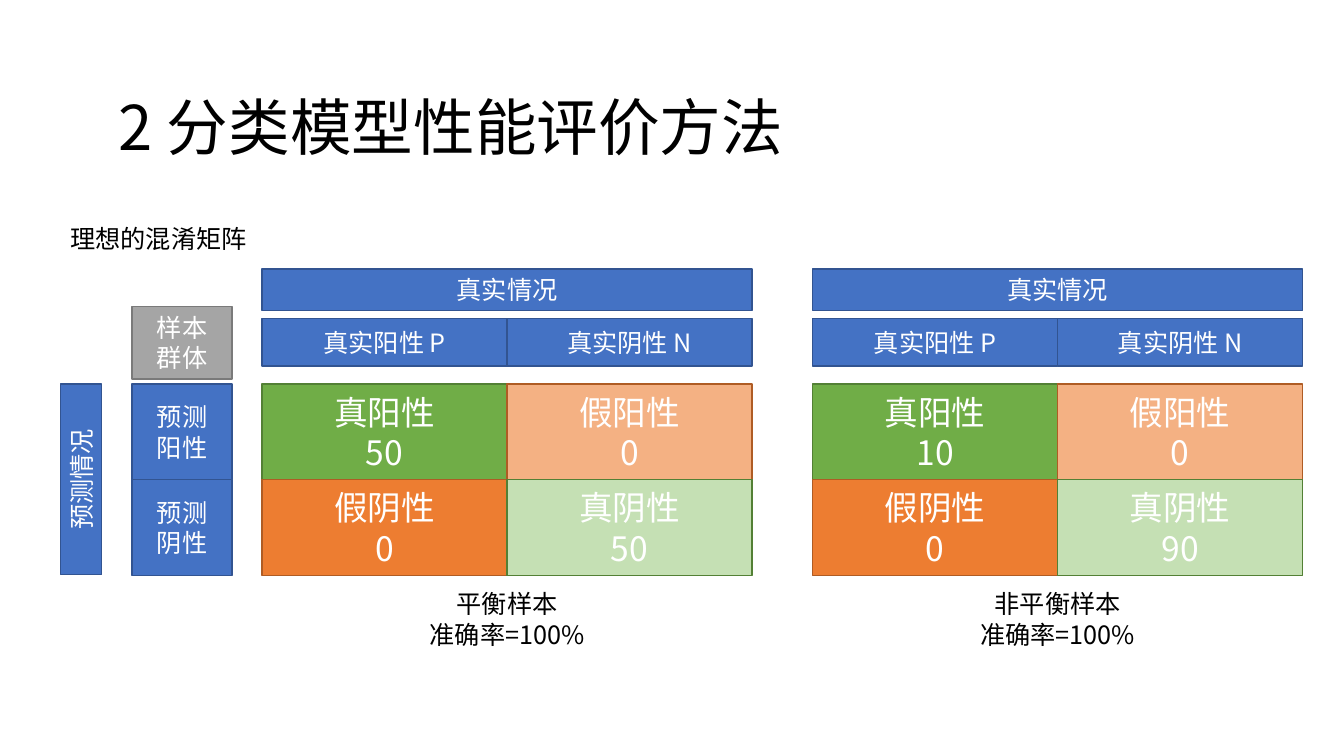
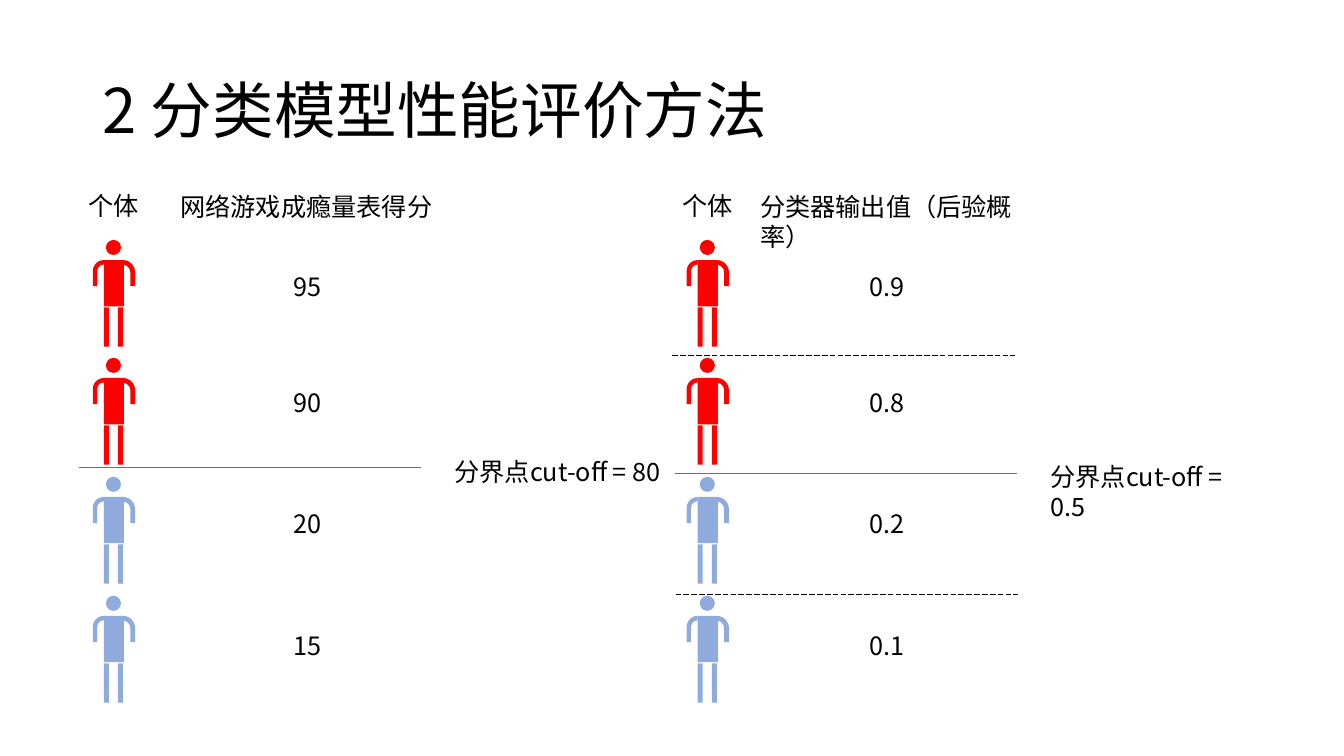
from lxml.etree import SubElement
from pptx import Presentation
from pptx.dml.color import RGBColor
from pptx.enum.dml import MSO_LINE
from pptx.enum.shapes import MSO_CONNECTOR, MSO_SHAPE
from pptx.enum.text import MSO_ANCHOR, MSO_AUTO_SIZE, PP_ALIGN
from pptx.oxml.ns import qn
from pptx.util import Pt

PX = 9144  # 100 px to the inch
FONT = "Noto Sans CJK SC"
BLACK = RGBColor(0x00, 0x00, 0x00)
WHITE = RGBColor(0xFF, 0xFF, 0xFF)
BLUE = RGBColor(0x44, 0x72, 0xC4)
DARK_BLUE = RGBColor(0x32, 0x54, 0x91)
LIGHT_BLUE = RGBColor(0x8F, 0xAA, 0xDC)
GRAY = RGBColor(0xA5, 0xA5, 0xA5)
DARK_GRAY = RGBColor(0x7A, 0x7A, 0x7A)
GREEN = RGBColor(0x70, 0xAD, 0x47)
LIGHT_GREEN = RGBColor(0xC5, 0xE0, 0xB4)
DARK_GREEN = RGBColor(0x53, 0x80, 0x35)
ORANGE = RGBColor(0xED, 0x7D, 0x31)
LIGHT_ORANGE = RGBColor(0xF4, 0xB1, 0x83)
DARK_ORANGE = RGBColor(0xAF, 0x5C, 0x24)
RED = RGBColor(0xFF, 0x00, 0x00)


def write(shape, text, size, color, align):
    frame = shape.text_frame
    frame.text = text
    frame.word_wrap = True
    for paragraph in frame.paragraphs:
        paragraph.alignment = align
        for run in paragraph.runs:
            run.font.name = FONT
            run.font.size = Pt(size)
            run.font.color.rgb = color
            SubElement(run._r.get_or_add_rPr(), qn("a:ea"), typeface=FONT)


def add_label(slide, left, top, width, height, text, fill=None, outline=None,
              size=18, align=PP_ALIGN.CENTER):
    """A filled box with white text, or plain black text without a fill."""
    area = [n * PX for n in (left, top, width, height)]
    if fill is None:
        label = slide.shapes.add_textbox(*area)
    else:
        label = slide.shapes.add_shape(MSO_SHAPE.RECTANGLE, *area)
        label.shadow.inherit = False
        label.fill.solid()
        label.fill.fore_color.rgb = fill
        label.line.color.rgb = outline
        label.line.width = Pt(1)
        label.text_frame.vertical_anchor = MSO_ANCHOR.MIDDLE
    write(label, text, size, BLACK if fill is None else WHITE, align)
    return label


prs = Presentation()
prs.slide_width, prs.slide_height = 1333 * PX, 750 * PX

# Both slides with their shared title
slides = []
for title_left, title_top in [(108, 57), (92, 40)]:
    slide = prs.slides.add_slide(prs.slide_layouts[5])
    title = slide.shapes.title
    title.left, title.top = title_left * PX, title_top * PX
    title.width, title.height = 1150 * PX, 145 * PX
    write(title, "2 分类模型性能评价方法", 44, BLACK, PP_ALIGN.LEFT)
    title.text_frame.auto_size = MSO_AUTO_SIZE.NONE
    title.text_frame.vertical_anchor = MSO_ANCHOR.MIDDLE
    title.text_frame.paragraphs[0].line_spacing = 0.9
    slides.append(slide)
matrix_slide, cutoff_slide = slides

# Slide 1: row headings of the confusion matrices
CELL_W, CELL_H, GRID_TOP = 243, 95, 381
add_label(matrix_slide, 60, 217, 746, 40, "理想的混淆矩阵", align=PP_ALIGN.LEFT)
predicted = add_label(matrix_slide, -14, 455, 189, 41, "预测情况", BLUE, DARK_BLUE)
predicted.rotation = 270
add_label(matrix_slide, 131, 304, 99, 72, "样本\n群体", GRAY, DARK_GRAY)
for row, outcome in enumerate(["阳性", "阴性"]):
    add_label(matrix_slide, 131, GRID_TOP + row * CELL_H, 99, CELL_H,
              f"预测\n{outcome}", BLUE, DARK_BLUE)

# Slide 1: the two matrices, cells row by row
CELLS = [("真阳性", GREEN, DARK_GREEN), ("假阳性", LIGHT_ORANGE, DARK_ORANGE),
         ("假阴性", ORANGE, DARK_ORANGE), ("真阴性", LIGHT_GREEN, DARK_GREEN)]
for left, sample, counts in [(260, "平衡样本", (50, 0, 0, 50)),
                             (806, "非平衡样本", (10, 0, 0, 90))]:
    add_label(matrix_slide, left, 267, 2 * CELL_W, 41, "真实情况", BLUE, DARK_BLUE)
    for col, actual in enumerate(["真实阳性 P", "真实阴性 N"]):
        add_label(matrix_slide, left + col * CELL_W, 316, CELL_W, 47, actual,
                  BLUE, DARK_BLUE)
    for index, ((name, fill, outline), count) in enumerate(zip(CELLS, counts)):
        row, col = divmod(index, 2)
        add_label(matrix_slide, left + col * CELL_W, GRID_TOP + row * CELL_H,
                  CELL_W, CELL_H, f"{name}\n{count}", fill, outline, size=24)
    add_label(matrix_slide, left + 73, 579, 340, 71, f"{sample}\n准确率=100%")

# Slide 2: parts of a person, relative to its left arm and head top
PERSON_PARTS = [(MSO_SHAPE.OVAL, 13, 0, 15, 15),
                (MSO_SHAPE.BENT_ARROW, 0, 20, 11, 26),
                (MSO_SHAPE.RECTANGLE, 11, 20, 20, 46),
                (MSO_SHAPE.BENT_ARROW, 30, 20, 12, 26),
                (MSO_SHAPE.RECTANGLE, 11, 67, 5, 39),
                (MSO_SHAPE.RECTANGLE, 25, 67, 5, 39)]
PERSON_COLORS = [RED, RED, LIGHT_BLUE, LIGHT_BLUE]
SCORE_TOPS = [264, 379, 499, 620]

# Slide 2: people, scores and cut-off for each measure
for left, score_left, heading, heading_w, scores, cutoff, cutoff_left, cutoff_top in [
        (78, 169, "网络游戏成瘾量表得分", 272, ("95", "90", "20", "15"),
         "80", 441, 448),
        (667, 744, "分类器输出值（后验概率）", 307, ("0.9", "0.8", "0.2", "0.1"),
         "0.5", 1032, 453)]:
    add_label(cutoff_slide, left, 184, 78, 40, "个体", align=PP_ALIGN.LEFT)
    add_label(cutoff_slide, score_left, 185, heading_w, 40, heading,
              align=PP_ALIGN.LEFT)
    add_label(cutoff_slide, cutoff_left, cutoff_top, 230, 40,
              f"分界点cut-off = {cutoff}", align=PP_ALIGN.LEFT)
    for index, (score, score_top, color) in enumerate(
            zip(scores, SCORE_TOPS, PERSON_COLORS)):
        add_label(cutoff_slide, score_left, score_top, 272, 40, score)
        head_top = 238 + index * 353 // 3
        person = cutoff_slide.shapes.add_group_shape()
        for kind, dx, dy, width, height in PERSON_PARTS:
            part = person.shapes.add_shape(
                kind, (left + 14 + dx) * PX, (head_top + dy) * PX,
                width * PX, height * PX)
            part.shadow.inherit = False
            part.fill.solid()
            part.fill.fore_color.rgb = color
            part.line.fill.background()
            if kind == MSO_SHAPE.BENT_ARROW:
                for i, value in enumerate([0.39, 0.2, 0, 1]):
                    part.adjustments[i] = value
                if dx > 0:  # the right arm mirrors the left one
                    part._element.spPr.find(qn("a:xfrm")).set("flipH", "1")

# Slide 2: solid cut-off lines and dashed alternatives
for left, top, color, dash in [(78, 464, BLUE, None), (669, 470, BLUE, None),
                               (667, 353, BLACK, MSO_LINE.LONG_DASH),
                               (670, 590, BLACK, MSO_LINE.LONG_DASH)]:
    divider = cutoff_slide.shapes.add_connector(
        MSO_CONNECTOR.STRAIGHT, left * PX, top * PX, (left + 340) * PX, top * PX)
    divider.line.color.rgb = color
    divider.line.width = Pt(0.5)
    if dash:
        divider.line.dash_style = dash
    SubElement(divider._element.spPr, qn("a:effectLst"))

prs.save("out.pptx")
